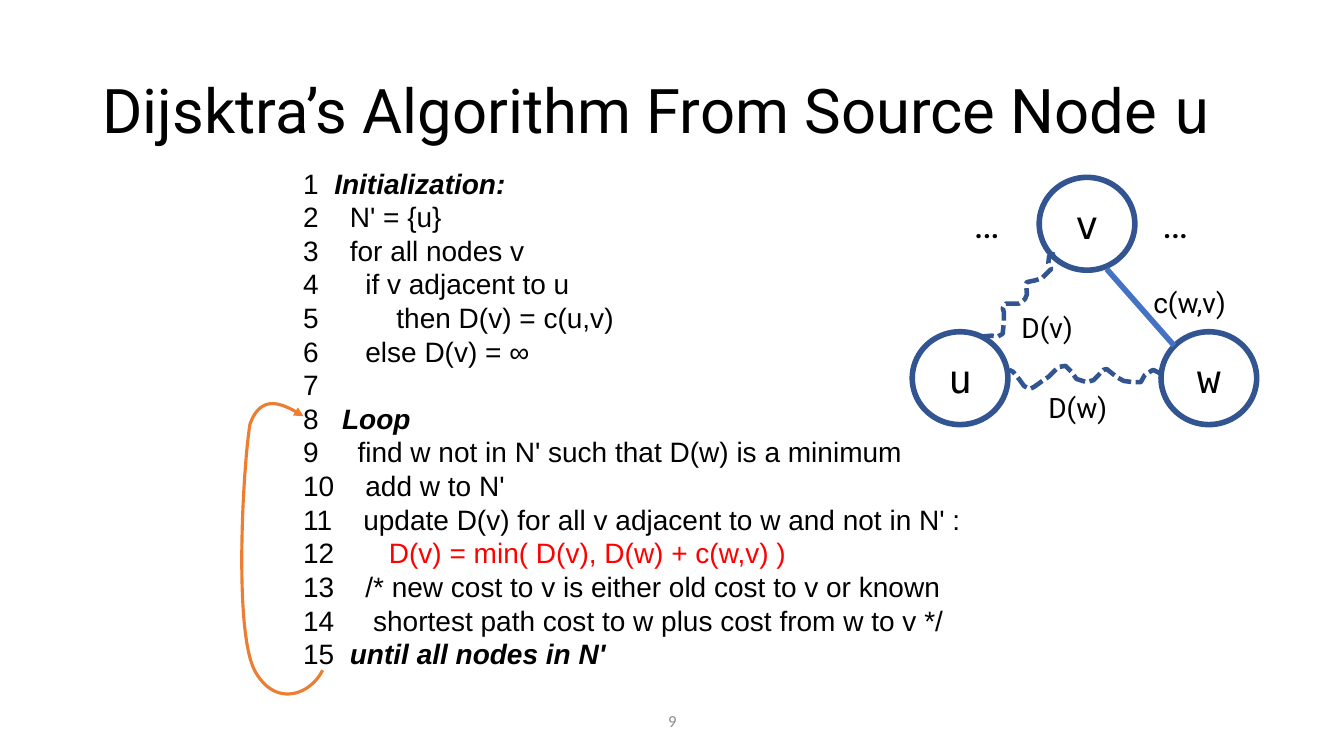
from dataclasses import dataclass

import pptx
import pptx.dml.color
import pptx.enum.dml
import pptx.enum.shapes
import pptx.enum.text
import pptx.oxml
import pptx.oxml.ns
import pptx.util
from pptx.util import Cm

BLACK = pptx.dml.color.RGBColor(0x00, 0x00, 0x00)
GRAY = pptx.dml.color.RGBColor(0x8C, 0x8C, 0x8C)
RED = pptx.dml.color.RGBColor(0xFF, 0x00, 0x00)
NAVY = pptx.dml.color.RGBColor(0x32, 0x54, 0x91)
BLUE = pptx.dml.color.RGBColor(0x44, 0x72, 0xC4)
ORANGE = pptx.dml.color.RGBColor(0xED, 0x7D, 0x31)
MONO = "DejaVu Sans Mono"
CENTER = pptx.enum.text.PP_ALIGN.CENTER
MIDDLE = pptx.enum.text.MSO_ANCHOR.MIDDLE

Point = tuple[float, float]


# Lengths in these records are centimetres
@dataclass
class Node:
    name: str
    left: float
    top: float


@dataclass
class Label:
    text: str
    left: float
    top: float
    width: float
    height: float
    size: int = 20
    font: str = "Roboto"
    color: pptx.dml.color.RGBColor = BLACK


@dataclass
class CodeLine:
    plain: str
    accent: str = ""
    is_red: bool = False


NODES = [Node("u", 22.99, 8.36), Node("v", 26.19, 4.47), Node("w", 29.26, 8.36)]

LABELS = [
    Label("D(v)", 24.99, 7.7, 2.8, 1.12),
    Label("D(w)", 25.76, 9.7, 2.8, 1.12),
    Label("c(w,v)", 28.58, 7.06, 2.8, 1.12),
    Label("…", 23.65, 4.9, 2.44, 1.45, 28),
    Label("…", 28.4, 4.88, 2.44, 1.45, 28),
    Label("9", 11.23, 17.65, 11.43, 1.02, 12, "Calibri", GRAY),
]

CODE = [
    CodeLine("1  ", "Initialization:"),
    CodeLine("2    N' = {u}"),
    CodeLine("3    for all nodes v"),
    CodeLine("4      if v adjacent to u"),
    CodeLine("5          then D(v) = c(u,v)"),
    CodeLine("6      else D(v) = ∞"),
    CodeLine("7"),
    CodeLine("8   ", "Loop"),
    CodeLine("9     find w not in N' such that D(w) is a minimum"),
    CodeLine("10    add w to N'"),
    CodeLine("11    update D(v) for all v adjacent to w and not in N' :"),
    CodeLine("12       ", "D(v) = min( D(v), D(w) + c(w,v) )", True),
    CodeLine("13    /* new cost to v is either old cost to v or known"),
    CodeLine("14     shortest path cost to w plus cost from w to v */"),
    CodeLine("15  ", "until all nodes in N'"),
]

# Loop arrow: a start point, then two controls and an end for each curve
LOOP_CURVE = [
    (8.13, 16.89), (7.85, 17.48), (6.96, 17.86), (6.43, 16.92), (5.89, 15.95),
    (6.12, 11.81), (6.3, 10.69), (6.6, 9.86), (7.19, 10.21), (7.65, 10.49),
]
PATH_V_TO_U = [
    (26.59, 6.4), (26.44, 6.45), (26.42, 6.63), (26.49, 6.78), (26.39, 6.88),
    (26.26, 7.01), (26.11, 7.06), (25.88, 7.11), (25.86, 7.16), (25.88, 7.42),
    (25.83, 7.54), (25.68, 7.65), (25.5, 7.65), (25.35, 7.65), (25.27, 7.77),
    (25.3, 7.87), (25.3, 8.1), (25.27, 8.41), (25.15, 8.48), (24.99, 8.46),
    (24.74, 8.48),
]
PATH_W_TO_U = [
    (29.26, 9.42), (29.06, 9.32), (28.85, 9.45), (28.75, 9.63), (28.55, 9.63),
    (28.32, 9.6), (28.14, 9.5), (27.89, 9.3), (27.81, 9.32), (27.56, 9.58),
    (27.38, 9.63), (27.13, 9.55), (27, 9.37), (26.85, 9.22), (26.67, 9.25),
    (26.57, 9.35), (26.42, 9.5), (26.34, 9.55), (26.06, 9.75), (25.96, 9.8),
    (25.81, 9.73), (25.68, 9.55), (25.53, 9.37), (25.43, 9.32),
]


def style(font, name: str, size: float, color) -> None:
    font.name = name
    font.size = pptx.util.Pt(size)
    font.color.rgb = color


def set_line(shape, color, width: float) -> None:
    shape.line.color.rgb = color
    shape.line.width = pptx.util.Pt(width)


def add_text_frame(slide, left, top, width, height, wrap: bool = True):
    box = slide.shapes.add_textbox(Cm(left), Cm(top), Cm(width), Cm(height))
    box.text_frame.word_wrap = wrap
    return box.text_frame


def add_label(slide, label: Label) -> None:
    frame = add_text_frame(slide, label.left, label.top, label.width, label.height)
    frame.vertical_anchor = MIDDLE
    frame.text = label.text
    paragraph = frame.paragraphs[0]
    paragraph.alignment = CENTER
    style(paragraph.runs[0].font, label.font, label.size, label.color)


def add_node(slide, node: Node) -> None:
    shape = slide.shapes.add_shape(
        pptx.enum.shapes.MSO_SHAPE.OVAL,
        Cm(node.left), Cm(node.top), Cm(2.41), Cm(2.34))
    shape.shadow.inherit = False
    shape.fill.background()
    set_line(shape, NAVY, 4)
    frame = shape.text_frame
    frame.margin_left = frame.margin_right = frame.margin_top = frame.margin_bottom = 0
    frame.vertical_anchor = MIDDLE
    frame.text = node.name
    frame.paragraphs[0].alignment = CENTER
    style(frame.paragraphs[0].runs[0].font, MONO, 28, BLACK)


def sample_curve(points: list[Point], steps: int = 24) -> list[Point]:
    """Turn joined cubic curves into a fine polyline."""
    result = [points[0]]
    for first in range(0, len(points) - 1, 3):
        a, b, c, d = points[first:first + 4]
        for step in range(1, steps + 1):
            t = step / steps
            weights = ((1 - t) ** 3, 3 * t * (1 - t) ** 2, 3 * t * t * (1 - t), t ** 3)
            x, y = (sum(w * p[axis] for w, p in zip(weights, (a, b, c, d)))
                    for axis in (0, 1))
            result.append((x, y))
    return result


def add_open_path(slide, points: list[Point], color, width: float):
    corners = [(Cm(x), Cm(y)) for x, y in points]
    builder = slide.shapes.build_freeform(*corners[0])
    builder.add_line_segments(corners[1:], close=False)
    shape = builder.convert_to_shape()
    shape.shadow.inherit = False
    shape.fill.background()
    set_line(shape, color, width)
    return shape


def add_code(slide) -> None:
    frame = add_text_frame(slide, 7.39, 4.06, 17.27, 12.95, wrap=False)
    for index, line in enumerate(CODE):
        paragraph = frame.paragraphs[0] if index == 0 else frame.add_paragraph()
        paragraph.text = line.plain
        style(paragraph.runs[0].font, "Arial", 20, BLACK)
        if line.accent:
            accent = paragraph.add_run()
            accent.text = line.accent
            style(accent.font, "Arial", 20, RED if line.is_red else BLACK)
            accent.font.bold = accent.font.italic = not line.is_red


def main() -> None:
    presentation = pptx.Presentation()
    presentation.slide_width, presentation.slide_height = Cm(33.87), Cm(19.05)
    slide = presentation.slides.add_slide(presentation.slide_layouts[6])

    # Title
    frame = add_text_frame(slide, 2.33, 1.02, 29.21, 3.68)
    frame.vertical_anchor = MIDDLE
    title = frame.paragraphs[0]
    title.text = "Dijsktra’s Algorithm From Source Node "
    title.line_spacing = 0.9
    title.add_run().text = "u"
    for run, font_name in zip(title.runs, ("Roboto", MONO)):
        style(run.font, font_name, 44, BLACK)

    # Pseudocode and its loop arrow
    add_code(slide)
    loop = add_open_path(slide, sample_curve(LOOP_CURVE), ORANGE, 2.25)
    loop.line._get_or_add_ln().append(pptx.oxml.parse_xml(
        f'<a:tailEnd {pptx.oxml.ns.nsdecls("a")} type="triangle"/>'))

    # Graph: nodes, dashed paths and the direct edge
    for node in NODES:
        add_node(slide, node)
    for points in (PATH_V_TO_U, PATH_W_TO_U):
        path = add_open_path(slide, points, NAVY, 3.25)
        path.line.dash_style = pptx.enum.dml.MSO_LINE.SQUARE_DOT
    edge = slide.shapes.add_connector(
        pptx.enum.shapes.MSO_CONNECTOR.STRAIGHT,
        Cm(29.59), Cm(8.71), Cm(27.89), Cm(6.78))
    set_line(edge, BLUE, 4)
    edge._element.spPr.append(pptx.oxml.parse_xml(
        f'<a:effectLst {pptx.oxml.ns.nsdecls("a")}/>'))

    # Graph labels and page number
    for label in LABELS:
        add_label(slide, label)

    presentation.save("out.pptx")


if __name__ == "__main__":
    main()
